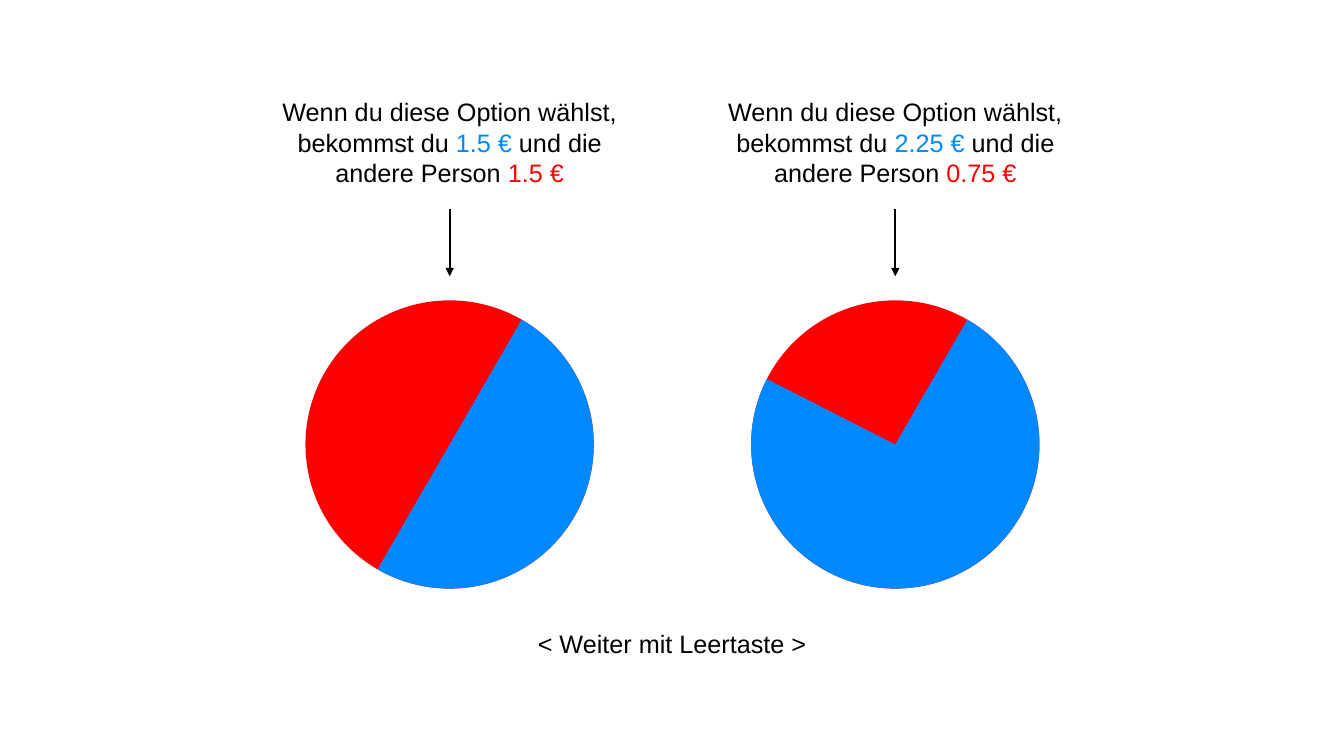
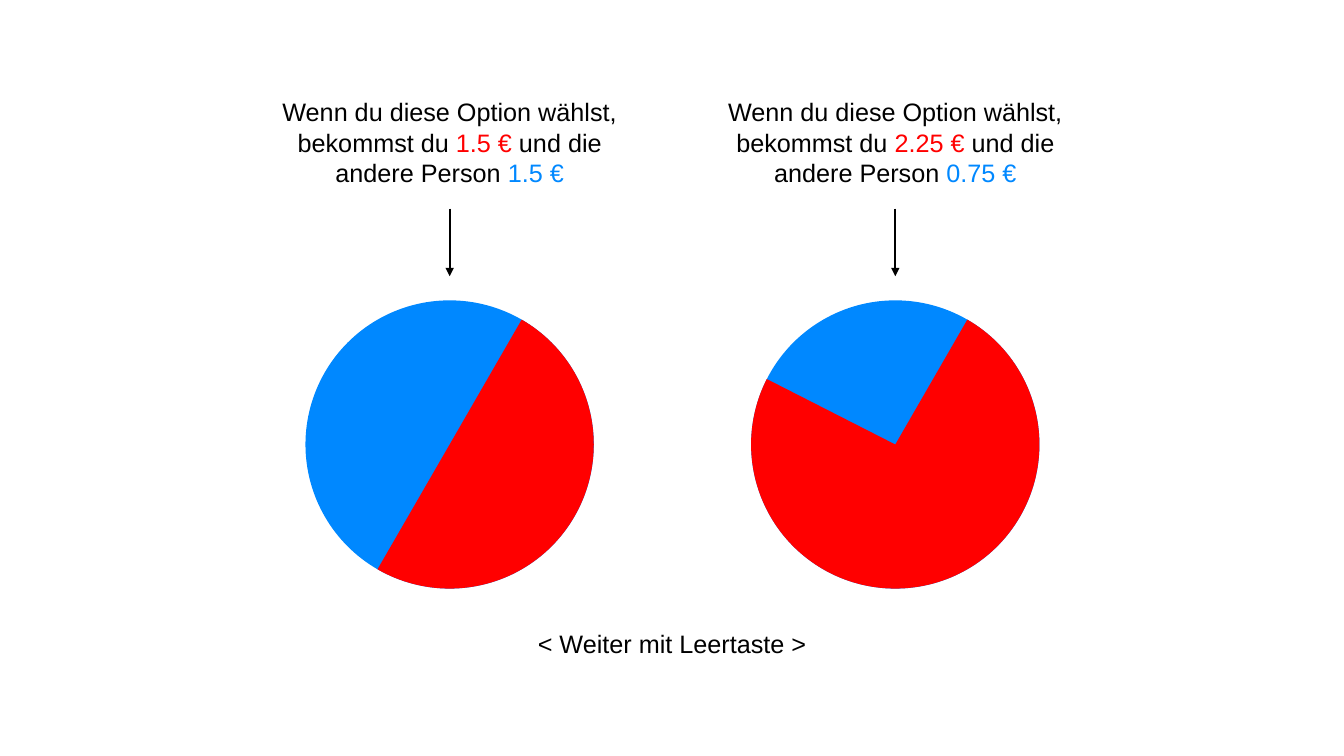
from lxml import etree
from pptx import Presentation
from pptx.dml.color import RGBColor
from pptx.enum.shapes import MSO_CONNECTOR, MSO_SHAPE
from pptx.enum.text import MSO_AUTO_SIZE, PP_ALIGN
from pptx.oxml.ns import qn
from pptx.util import Emu, Pt

OVAL, PIE = MSO_SHAPE.OVAL, MSO_SHAPE.PIE
STRAIGHT = MSO_CONNECTOR.STRAIGHT
CENTER = PP_ALIGN.CENTER
GROW = MSO_AUTO_SIZE.SHAPE_TO_FIT_TEXT

SCALE = 9144  # 100 px to the inch
WIDE, HIGH = 1333, 750
COLORS = {"ink": "000000", "blue": "0088FF", "red": "FF0000"}
FONT = "Arial"
DISC = 286
START = 300  # angle in degrees, clockwise from three o'clock

# Centre of the column, own amount, other amount, end angle of own share
OPTIONS = [
    (446, "1.5 €", "1.5 €", 120),
    (888, "2.25 €", "0.75 €", 207),
]
# Colours of the own and the other share on each slide
PAIRS = [("blue", "red"), ("red", "blue")]


def px(num):
    return Emu(num * SCALE)


def box(*nums):
    return [px(num) for num in nums]


def rgb(name):
    return RGBColor.from_string(COLORS[name])


def add_text(slide, runs, at, size=18, align=CENTER):
    """Add one paragraph made of (text, colour name) runs."""
    frame = slide.shapes.add_textbox(*box(*at)).text_frame
    frame.word_wrap = True
    frame.auto_size = GROW
    para = frame.paragraphs[0]
    para.alignment = align
    for text, color in runs:
        run = para.add_run()
        run.text = text
        run.font.name = FONT
        run.font.size = Pt(size)
        run.font.color.rgb = rgb(color)


def add_arrow(slide, x, top, end):
    line = slide.shapes.add_connector(STRAIGHT, *box(x, top, x, end))
    line.line.color.rgb = rgb("ink")
    line.line.width = Pt(1.5)
    props = line.element.spPr
    etree.SubElement(props.find(qn("a:ln")), qn("a:tailEnd"), type="triangle")
    etree.SubElement(props, qn("a:effectLst"))


def add_disc(group, kind, at, color):
    shape = group.shapes.add_shape(kind, *box(*at))
    shape.shadow.inherit = False
    shape.fill.solid()
    shape.fill.fore_color.rgb = rgb(color)
    shape.line.fill.background()
    return shape


def add_share(slide, mid, top, end, own, other):
    """Add a full disc with a sector for the own share on top."""
    group = slide.shapes.add_group_shape()
    at = (mid - DISC // 2, top, DISC, DISC)
    add_disc(group, OVAL, at, other)
    sector = add_disc(group, PIE, at, own)
    for index, angle in enumerate((START, end)):
        sector.adjustments[index] = angle * 0.6  # 60000 units a degree


def add_option(slide, option, own, other):
    mid, mine, yours, end = option
    runs = [
        ("Wenn du diese Option wählst, bekommst du ", "ink"),
        (mine, own),
        (" und die andere Person ", "ink"),
        (yours, other),
    ]
    add_text(slide, runs, (mid - 203, 91, 406, 101))
    add_arrow(slide, mid, 207, 274)
    add_share(slide, mid, 298, end, own, other)


def main():
    deck = Presentation()
    deck.slide_width, deck.slide_height = box(WIDE, HIGH)
    for own, other in PAIRS:
        slide = deck.slides.add_slide(deck.slide_layouts[6])
        add_text(slide, [("< Weiter mit Leertaste >", "ink")],
                 (462, 618, 409, 40))
        for option in OPTIONS:
            add_option(slide, option, own, other)
    deck.save("out.pptx")


if __name__ == "__main__":
    main()
